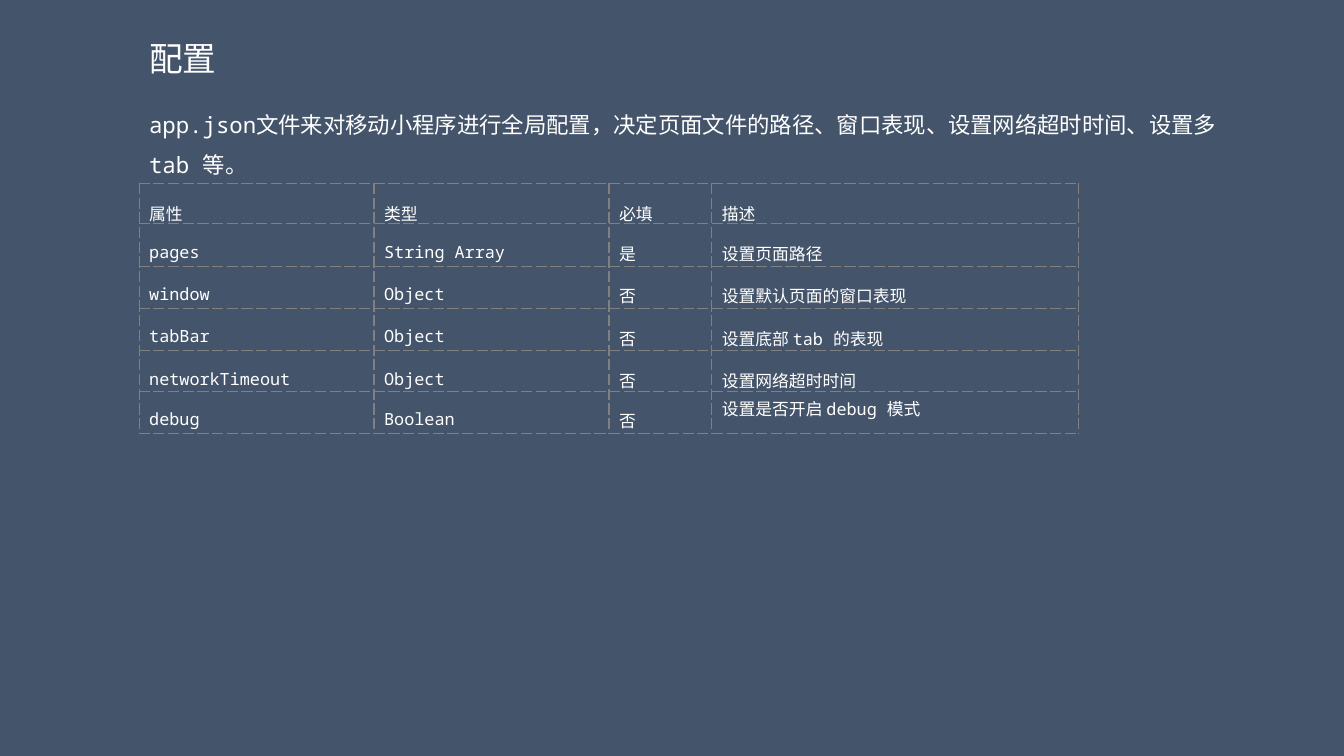
"""Build the slide on the global configuration file and its properties."""
import pptx
import pptx.util
import pptx.dml.color
import pptx.oxml
import pptx.oxml.ns
from pptx.util import Inches

TITLE = "配置"
SUMMARY = "app.json文件来对移动小程序进行全局配置，决定页面文件的路径、窗口表现、设置网络超时时间、设置多 tab 等。"
PROPERTIES = [
    ("属性", "类型", "必填", "描述"),
    ("pages", "String Array", "是", "设置页面路径"),
    ("window", "Object", "否", "设置默认页面的窗口表现"),
    ("tabBar", "Object", "否", "设置底部 tab 的表现"),
    ("networkTimeout", "Object", "否", "设置网络超时时间"),
    ("debug", "Boolean", "否", "设置是否开启 debug 模式"),
]
COLORS = {"background": "44546A", "text": "FFFFFF", "border": "808080"}
SANS, MONO = "Noto Sans CJK SC", "Noto Sans Mono"
LEFT, TEXT_WIDTH = 1.38, 10.88
COLUMN_WIDTHS = (2.33, 2.33, 1.02, 3.64)
ROW_HEIGHTS = (0.4, 0.42, 0.42, 0.42, 0.4, 0.42)
TABLE_TOP = 1.82


def rgb(name):
    return pptx.dml.color.RGBColor.from_string(COLORS[name])


def write(frame, text, size=12, font=MONO, spacing=None):
    frame.word_wrap = True
    paragraph = frame.paragraphs[0]
    paragraph.line_spacing = spacing
    run = paragraph.add_run()
    run.text = text
    run.font.size = pptx.util.Pt(size)
    run.font.name = font
    run.font.color.rgb = rgb("text")
    east_asian = pptx.oxml.parse_xml(
        f'<a:ea {pptx.oxml.ns.nsdecls("a")} typeface="{SANS}"/>')
    run.font._element.append(east_asian)


def add_text(slide, text, top, height, **style):
    box = slide.shapes.add_textbox(
        Inches(LEFT), Inches(top), Inches(TEXT_WIDTH), Inches(height))
    write(box.text_frame, text, **style)


def draw_borders(cell):
    properties = cell._tc.get_or_add_tcPr()
    for position, side in enumerate(("lnL", "lnR", "lnT", "lnB")):
        border = pptx.oxml.parse_xml(
            f'<a:{side} {pptx.oxml.ns.nsdecls("a")} w="12700"><a:solidFill>'
            f'<a:srgbClr val="{COLORS["border"]}"/></a:solidFill>'
            f'<a:prstDash val="sysDash"/></a:{side}>')
        properties.insert(position, border)


def add_properties(slide):
    table = slide.shapes.add_table(
        len(PROPERTIES), len(COLUMN_WIDTHS), Inches(LEFT), Inches(TABLE_TOP),
        Inches(sum(COLUMN_WIDTHS)), Inches(sum(ROW_HEIGHTS))).table
    table.first_row = table.horz_banding = False
    for column, width in zip(table.columns, COLUMN_WIDTHS):
        column.width = Inches(width)
    for row, height, values in zip(table.rows, ROW_HEIGHTS, PROPERTIES):
        row.height = Inches(height)
        for cell, value in zip(row.cells, values):
            last = value == PROPERTIES[-1][-1]
            write(cell.text_frame, value, spacing=None if last else 1.5)
            cell.fill.background()
            draw_borders(cell)


def main():
    deck = pptx.Presentation()
    deck.slide_width, deck.slide_height = Inches(13.33), Inches(7.5)
    slide = deck.slides.add_slide(deck.slide_layouts[6])
    slide.background.fill.solid()
    slide.background.fill.fore_color.rgb = rgb("background")
    add_text(slide, TITLE, 0.33, 0.5, size=24, font=SANS)
    add_text(slide, SUMMARY, 0.92, 0.9, size=16, spacing=1.5)
    add_properties(slide)
    deck.save("out.pptx")


if __name__ == "__main__":
    main()
